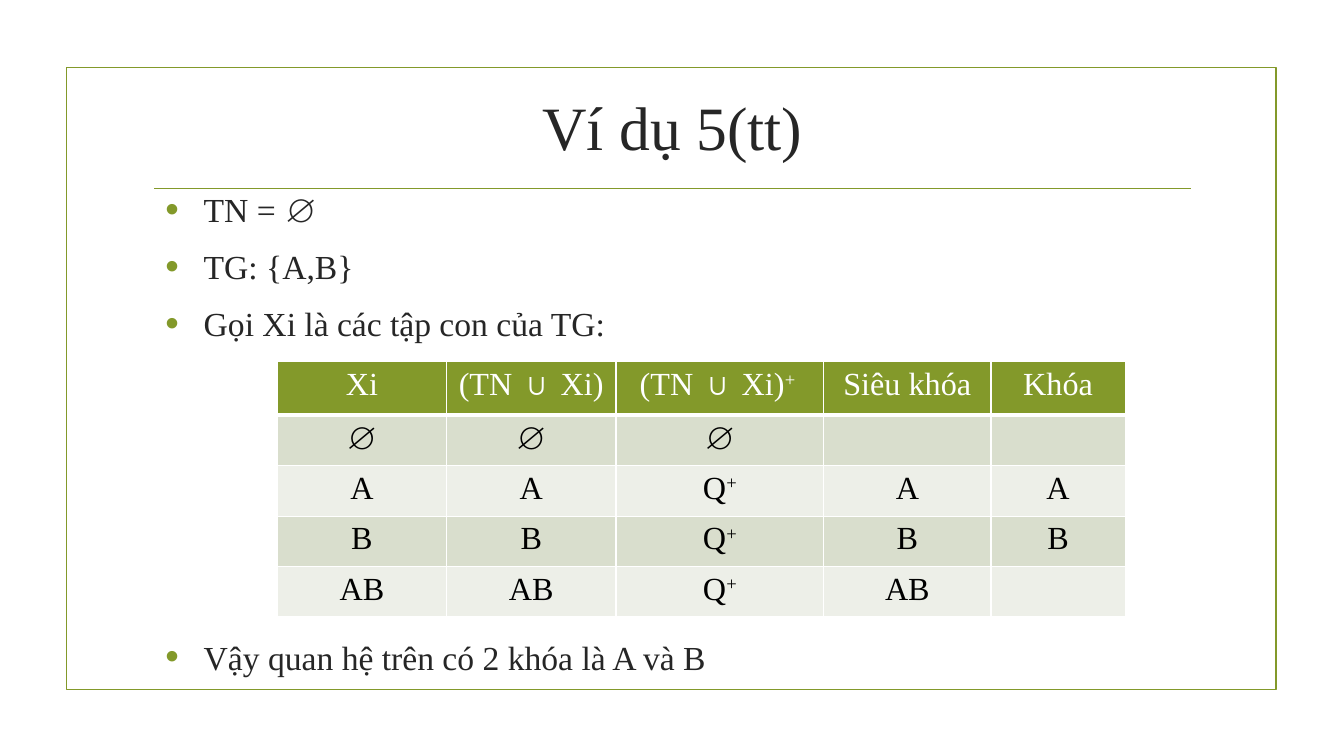
"""Build the slide that finds the keys of a relation from subsets of TG."""
import dataclasses

import lxml.etree
import pptx
import pptx.dml.color
import pptx.enum.shapes
import pptx.enum.text
import pptx.oxml.ns
import pptx.util

Inches = pptx.util.Inches
Pt = pptx.util.Pt
CENTER = pptx.enum.text.PP_ALIGN.CENTER


@dataclasses.dataclass(frozen=True)
class Theme:
    """Colours, font and type sizes of the slide."""

    font: str = "Times New Roman"
    accent: str = "83992A"
    text: str = "262626"
    cell_text: str = "000000"
    white: str = "FFFFFF"
    bands: tuple = ("D9DECD", "EDEFE8")
    title_size: int = 44
    body_size: int = 24
    table_size: int = 23
    rule_width: float = 1.25


THEME = Theme()
BULLETS = [
    ("TN = ∅", 6),
    ("TG: {A,B}", 6),
    ("Gọi Xi là các tập con của TG:", 6),
    ("Vậy quan hệ trên có 2 khóa là A và B", 203.5),
]
COLUMN_WIDTHS = [1.68, 1.68, 2.06, 1.66, 1.33]
HEADER_HEIGHT, ROW_HEIGHT = 0.53, 0.5
KEY_ROWS = [
    ["Xi", "(TN ∪ Xi)", "(TN ∪ Xi)+ ", "Siêu khóa", "Khóa"],
    ["∅", "∅", "∅", "", ""],
    ["A", "A", "Q+", "A", "A"],
    ["B", "B", "Q+", "B", "B"],
    ["AB", "AB", "Q+", "AB", ""],
]


def rgb(code):
    """Return the colour for a hex code."""
    return pptx.dml.color.RGBColor.from_string(code)


def add_xml(parent, tag, **attributes):
    """Append a DrawingML element and return it."""
    element = lxml.etree.SubElement(parent, pptx.oxml.ns.qn(tag))
    for name, value in attributes.items():
        element.set(name, str(value))
    return element


def style_paragraph(para, size, color):
    """Set the font of a whole paragraph."""
    para.font.name = THEME.font
    para.font.size = Pt(size)
    para.font.color.rgb = rgb(color)


def place(shape, left, top, width, height):
    """Move and resize a shape."""
    shape.left, shape.top = Inches(left), Inches(top)
    shape.width, shape.height = Inches(width), Inches(height)


def style_line(line):
    """Give an outline the accent colour and width."""
    line.color.rgb = rgb(THEME.accent)
    line.width = Pt(THEME.rule_width)


def add_frame(page):
    """Draw the border of the slide and the rule under the title."""
    border = page.shapes.add_shape(
        pptx.enum.shapes.MSO_SHAPE.RECTANGLE,
        Inches(0.66), Inches(0.67), Inches(12), Inches(6.17))
    border.shadow.inherit = False
    border.fill.background()
    style_line(border.line)
    rule = page.shapes.add_connector(
        pptx.enum.shapes.MSO_CONNECTOR.STRAIGHT,
        Inches(1.53), Inches(1.87), Inches(11.81), Inches(1.87))
    style_line(rule.line)
    add_xml(rule._element.spPr, "a:effectLst")


def fill_title(title, text):
    """Place and write the title."""
    place(title, 1.42, 0.68, 10.5, 1.14)
    frame = title.text_frame
    frame.text = text
    frame.auto_size = pptx.enum.text.MSO_AUTO_SIZE.NONE
    frame.vertical_anchor = pptx.enum.text.MSO_ANCHOR.MIDDLE
    frame.paragraphs[0].alignment = CENTER
    style_paragraph(frame.paragraphs[0], THEME.title_size, THEME.text)


def add_bullet(para):
    """Give a paragraph a hanging accent bullet."""
    properties = para._p.get_or_add_pPr()
    properties.set("marL", str(Inches(0.38)))
    properties.set("indent", str(-Inches(0.38)))
    color = add_xml(properties, "a:buClr")
    add_xml(color, "a:srgbClr", val=THEME.accent)
    add_xml(properties, "a:buSzPct", val=115000)
    add_xml(properties, "a:buFont", typeface="Arial")
    add_xml(properties, "a:buChar", char="•")


def fill_body(body, bullets):
    """Place the list and write its bullets with the space before each."""
    place(body, 1.54, 1.82, 9, 5.28)
    frame = body.text_frame
    frame.text = "\n".join(text for text, _ in bullets)
    frame.auto_size = pptx.enum.text.MSO_AUTO_SIZE.NONE
    for para, (_, space) in zip(frame.paragraphs, bullets):
        para.space_before, para.space_after = Pt(space), Pt(6)
        add_bullet(para)
        style_paragraph(para, THEME.body_size, THEME.text)


def fill_cell(cell, text, fill, color, bottom_width):
    """Write a cell, raising a plus sign, with white borders and a fill."""
    para = cell.text_frame.paragraphs[0]
    para.alignment = CENTER
    style_paragraph(para, THEME.table_size, color)
    base, plus, rest = text.partition("+")
    if base:
        para.add_run().text = base
    if plus:
        span = para.add_run()
        span.text = plus + rest
        span._r.get_or_add_rPr().set("baseline", "30000")
    properties = cell._tc.get_or_add_tcPr()
    for side, width in zip("LRTB", (1, 1, 1, bottom_width)):
        edge = add_xml(properties, f"a:ln{side}", w=Pt(width))
        add_xml(add_xml(edge, "a:solidFill"), "a:srgbClr", val=THEME.white)
    cell.fill.solid()
    cell.fill.fore_color.rgb = rgb(fill)


def add_key_table(page, rows):
    """Add the table of subsets, closures, superkeys and keys."""
    height = HEADER_HEIGHT + ROW_HEIGHT * (len(rows) - 1)
    table = page.shapes.add_table(
        len(rows), len(COLUMN_WIDTHS), Inches(2.75), Inches(3.59),
        Inches(sum(COLUMN_WIDTHS)), Inches(height)).table
    for column, width in zip(table.columns, COLUMN_WIDTHS):
        column.width = Inches(width)
    for number, texts in enumerate(rows):
        header = number == 0
        table.rows[number].height = Inches(HEADER_HEIGHT if header else ROW_HEIGHT)
        fill = THEME.accent if header else THEME.bands[(number - 1) % 2]
        color = THEME.white if header else THEME.cell_text
        for place_in_row, text in enumerate(texts):
            fill_cell(table.cell(number, place_in_row), text, fill, color,
                      3 if header else 1)


def main():
    """Build and save the deck."""
    deck = pptx.Presentation()
    deck.slide_width, deck.slide_height = Inches(13.33), Inches(7.5)
    page = deck.slides.add_slide(deck.slide_layouts[1])
    add_frame(page)
    fill_title(page.shapes.title, "Ví dụ 5(tt)")
    fill_body(page.placeholders[1], BULLETS)
    add_key_table(page, KEY_ROWS)
    deck.save("out.pptx")


if __name__ == "__main__":
    main()
